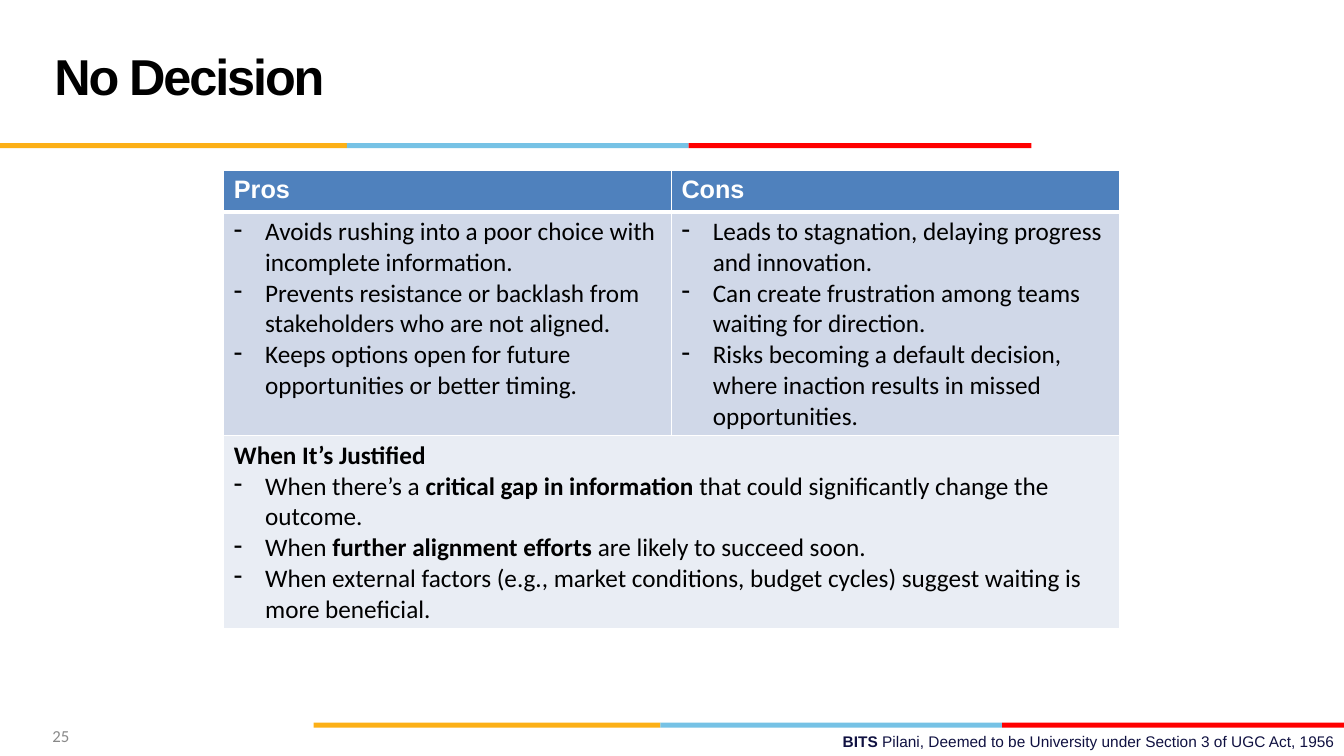
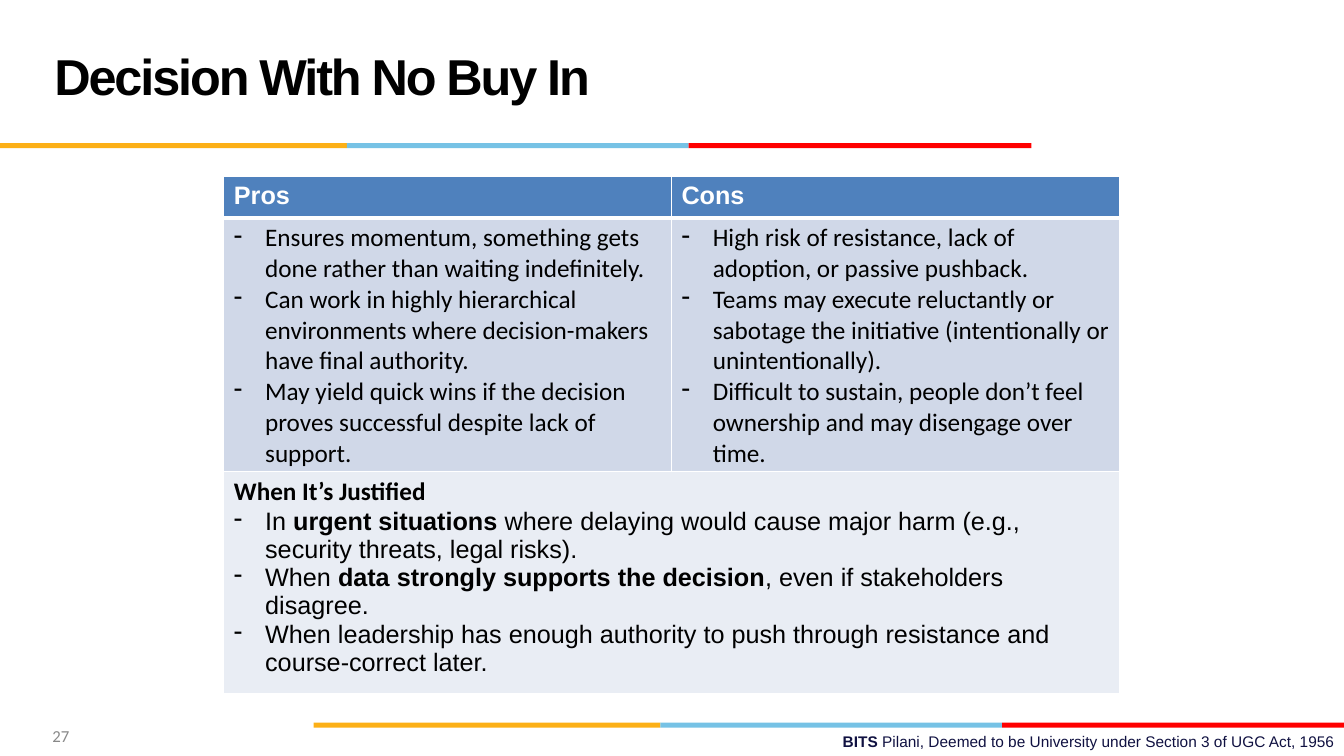
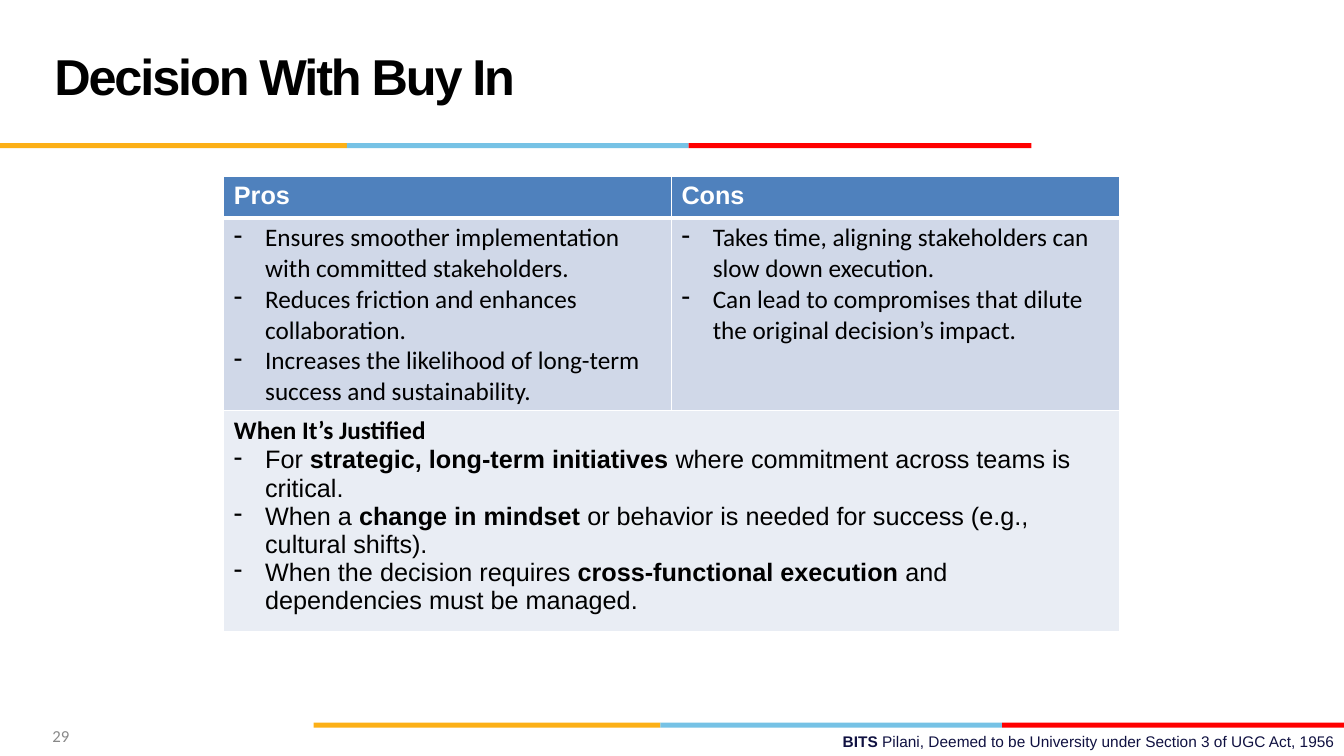
import pptx
import pptx.util
import pptx.dml.color
import pptx.enum.shapes
import pptx.enum.text
import pptx.oxml
import pptx.oxml.ns

Inches = pptx.util.Inches
Pt = pptx.util.Pt
ALIGN = pptx.enum.text.PP_ALIGN
ANCHOR = pptx.enum.text.MSO_ANCHOR

COLORS = {
    "amber": "FCB017",
    "sky": "76C2E5",
    "red": "FF0000",
    "navy": "101141",
    "gray": "898989",
    "black": "000000",
    "white": "FFFFFF",
    "header": "4F81BD",
    "body": "D0D8E8",
    "justified": "E9EDF4",
}
BAND_PARTS = [("amber", 3.44), ("sky", 3.39), ("red", 3.4)]
TABLE_LEFT = 2.22
COLUMN_WIDTH = 4.44
HEADER_HEIGHT = 0.41
BULLET_INDENT = 0.31


class Deck:
    def __init__(self):
        self.deck = pptx.Presentation()
        self.deck.slide_width = Inches(13.33)
        self.deck.slide_height = Inches(7.5)
        self.page = None

    def color(self, name):
        return pptx.dml.color.RGBColor.from_string(COLORS[name])

    def add_spans(self, paragraph, text, size, color, font="Arial", bold=False):
        for index, part in enumerate(text.split("**")):
            if not part:
                continue
            span = paragraph.add_run()
            span.text = part
            span.font.name = font
            span.font.size = Pt(size)
            span.font.bold = bold or index % 2 == 1
            span.font.color.rgb = self.color(color)

    def text(self, left, top, width, height, text, size, color,
             font="Arial", bold=False, align=ALIGN.LEFT, anchor=ANCHOR.MIDDLE):
        box = self.page.shapes.add_textbox(
            Inches(left), Inches(top), Inches(width), Inches(height))
        box.text_frame.word_wrap = True
        box.text_frame.vertical_anchor = anchor
        paragraph = box.text_frame.paragraphs[0]
        paragraph.alignment = align
        self.add_spans(paragraph, text, size, color, font, bold)
        return paragraph

    def band(self, left, top):
        for color, width in BAND_PARTS:
            bar = self.page.shapes.add_shape(
                pptx.enum.shapes.MSO_SHAPE.RECTANGLE,
                Inches(left), Inches(top), Inches(width), Inches(0.05))
            bar.shadow.inherit = False
            bar.fill.solid()
            bar.fill.fore_color.rgb = self.color(color)
            bar.line.fill.background()
            left += width

    def start(self, title, number):
        self.page = self.deck.slides.add_slide(self.deck.slide_layouts[6])
        self.band(0, 1.42)
        self.band(3.11, 7.17)
        self.text(4.78, 7.21, 8.56, 0.29,
                  "**BITS **Pilani, Deemed to be University under Section 3 of UGC Act, 1956",
                  11, "navy", align=ALIGN.RIGHT, anchor=ANCHOR.TOP)
        heading = self.text(0.44, 0.17, 9.22, 1.25, title, 36, "black", bold=True)
        heading.line_spacing = Pt(36)
        for span in heading.runs:
            span.font._element.set("spc", "-150")
        self.text(0.42, 7.1, 3.11, 0.4, str(number), 12, "gray", font="Calibri")

    def style_cell(self, cell, fill, top=1, bottom=1):
        properties = cell._tc.get_or_add_tcPr()
        for side, width in (("L", 1), ("R", 1), ("T", top), ("B", bottom)):
            properties.append(pptx.oxml.parse_xml(
                f'<a:ln{side} {pptx.oxml.ns.nsdecls("a")} w="{Pt(width)}"><a:solidFill>'
                f'<a:srgbClr val="{COLORS["white"]}"/></a:solidFill></a:ln{side}>'))
        cell.fill.solid()
        cell.fill.fore_color.rgb = self.color(fill)

    def bullets(self, frame, items, font, heading=None):
        if heading:
            self.add_spans(frame.paragraphs[0], heading, 18, "black", "Calibri", True)
        for index, item in enumerate(items):
            first = index == 0 and not heading
            paragraph = frame.paragraphs[0] if first else frame.add_paragraph()
            properties = paragraph._p.get_or_add_pPr()
            properties.set("marL", str(Inches(BULLET_INDENT)))
            properties.set("indent", str(-Inches(BULLET_INDENT)))
            properties.append(pptx.oxml.parse_xml(
                f'<a:buChar {pptx.oxml.ns.nsdecls("a")} char="-"/>'))
            self.add_spans(paragraph, item, 18, "black", font)

    def table(self, top, heights, pros, cons, justified, font):
        heights = [HEADER_HEIGHT, *heights]
        table = self.page.shapes.add_table(
            3, 2, Inches(TABLE_LEFT), Inches(top),
            Inches(2 * COLUMN_WIDTH), Inches(sum(heights))).table
        table.horz_banding = False
        for row, height in zip(table.rows, heights):
            row.height = Inches(height)
        for index, (name, items) in enumerate((("Pros", pros), ("Cons", cons))):
            table.columns[index].width = Inches(COLUMN_WIDTH)
            header, body, last = (table.cell(row, index) for row in range(3))
            self.style_cell(header, "header", bottom=3)
            self.style_cell(body, "body", top=3)
            self.style_cell(last, "justified")
            self.add_spans(header.text_frame.paragraphs[0], name, 18, "white", bold=True)
            self.bullets(body.text_frame, items, "Calibri")
        table.cell(2, 0).merge(table.cell(2, 1))
        self.bullets(table.cell(2, 0).text_frame, justified, font, "When It’s Justified")


SLIDES = [
    {
        "title": "No Decision",
        "number": 25,
        "top": 1.69,
        "heights": (2.22, 1.92),
        "font": "Calibri",
        "pros": [
            "Avoids rushing into a poor choice with incomplete information.",
            "Prevents resistance or backlash from stakeholders who are not aligned.",
            "Keeps options open for future opportunities or better timing.",
        ],
        "cons": [
            "Leads to stagnation, delaying progress and innovation.",
            "Can create frustration among teams waiting for direction.",
            "Risks becoming a default decision, where inaction results in missed opportunities.",
        ],
        "justified": [
            "When there’s a **critical gap in information** that could significantly change the outcome.",
            "When **further alignment efforts** are likely to succeed soon.",
            "When external factors (e.g., market conditions, budget cycles) suggest waiting is more beneficial.",
        ],
    },
    {
        "title": "Decision With No Buy In",
        "number": 27,
        "top": 1.75,
        "heights": (2.52, 2.08),
        "font": "Arial",
        "pros": [
            "Ensures momentum, something gets done rather than waiting indefinitely.",
            "Can work in highly hierarchical environments where decision-makers have final authority.",
            "May yield quick wins if the decision proves successful despite lack of support.",
        ],
        "cons": [
            "High risk of resistance, lack of adoption, or passive pushback.",
            "Teams may execute reluctantly or sabotage the initiative (intentionally or unintentionally).",
            "Difficult to sustain, people don’t feel ownership and may disengage over time.",
        ],
        "justified": [
            "In **urgent situations** where delaying would cause major harm (e.g., security threats, legal risks).",
            "When **data strongly supports the decision**, even if stakeholders disagree.",
            "When leadership has enough authority to push through resistance and course-correct later.",
        ],
    },
    {
        "title": "Decision With Buy In",
        "number": 29,
        "top": 1.75,
        "heights": (1.91, 2.08),
        "font": "Arial",
        "pros": [
            "Ensures smoother implementation with committed stakeholders.",
            "Reduces friction and enhances collaboration.",
            "Increases the likelihood of long-term success and sustainability.",
        ],
        "cons": [
            "Takes time, aligning stakeholders can slow down execution.",
            "Can lead to compromises that dilute the original decision’s impact.",
        ],
        "justified": [
            "For **strategic, long-term initiatives** where commitment across teams is critical.",
            "When a **change in mindset** or behavior is needed for success (e.g., cultural shifts).",
            "When the decision requires **cross-functional execution** and dependencies must be managed.",
        ],
    },
]


def main():
    builder = Deck()
    for slide in SLIDES:
        builder.start(slide["title"], slide["number"])
        builder.table(slide["top"], slide["heights"], slide["pros"],
                      slide["cons"], slide["justified"], slide["font"])
    builder.deck.save("out.pptx")


if __name__ == "__main__":
    main()
